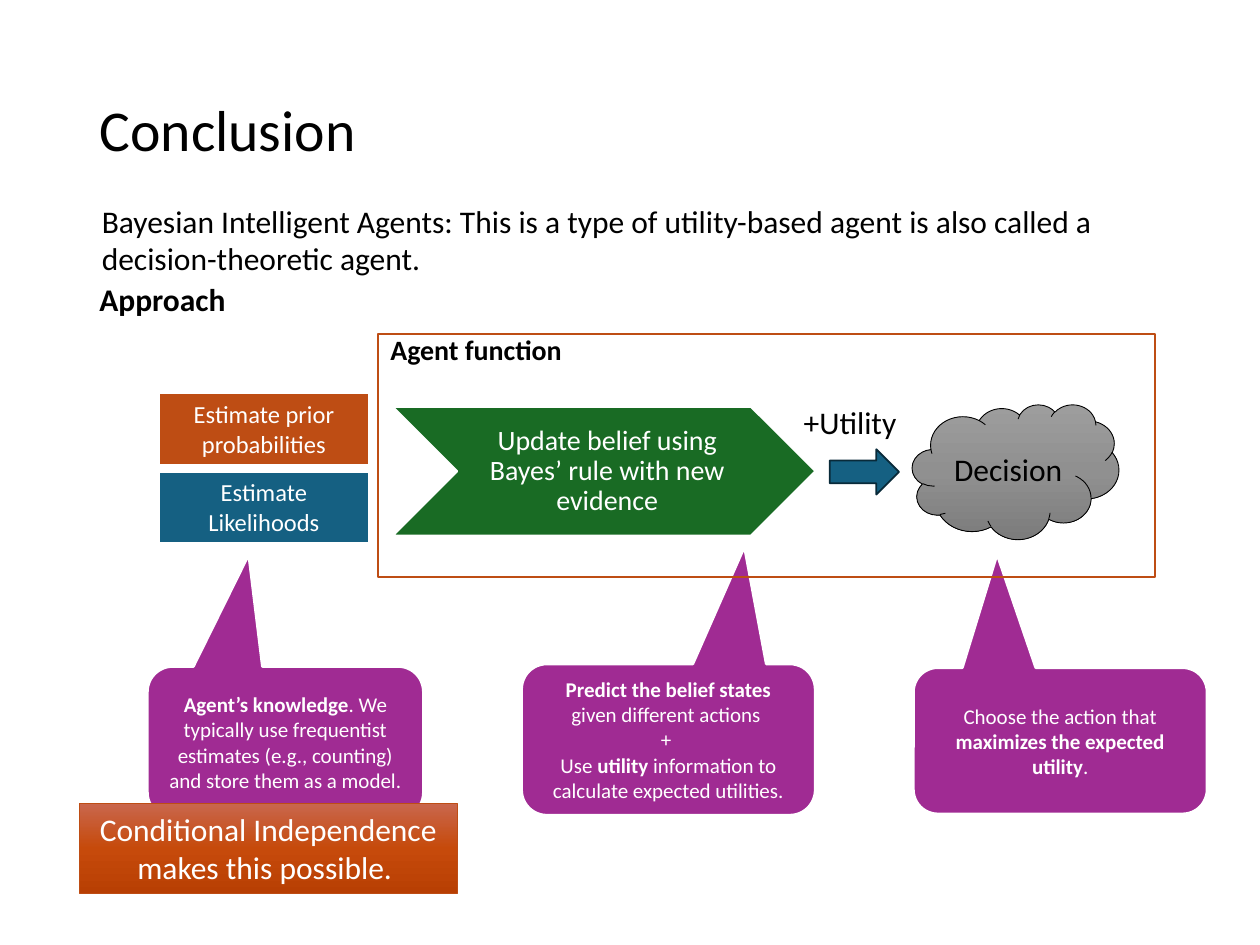
from copy import deepcopy
from dataclasses import dataclass

from pptx import Presentation
from pptx.dml.color import RGBColor
from pptx.enum.shapes import MSO_SHAPE
from pptx.enum.text import MSO_ANCHOR, MSO_AUTO_SIZE, PP_ALIGN
from pptx.oxml.ns import qn
from pptx.util import Inches, Pt


@dataclass(frozen=True)
class Theme:
    font: str = "Calibri"
    black: str = "000000"
    white: str = "FFFFFF"
    orange: str = "BE4D14"
    blue: str = "156082"
    navy: str = "092A39"
    green: str = "196B24"
    purple: str = "A02B93"
    greys: tuple = ("9D9D9D", "909090", "7C7C7C")
    flames: tuple = ("C9664C", "C64A0B", "B83F03")
    title: int = 33
    body: int = 18
    label: int = 16
    box: int = 14
    note: int = 12


class SlideBuilder:
    """Places elements on a grid of 100 columns by 75 rows."""

    def __init__(self, prs, theme):
        self.theme = theme
        self.s = prs.slides.add_slide(prs.slide_layouts[5])
        self.col = prs.slide_width / 100
        self.row = prs.slide_height / 75

    def grid(self, x, y, w, h):
        return [int(v) for v in (x * self.col, y * self.row, w * self.col, h * self.row)]

    def put_text(self, sp, parts, size, color, align=PP_ALIGN.LEFT, spacing=None, **frame):
        """Fill one paragraph; parts are strings or (string, bold) pairs."""
        tf = sp.text_frame
        for name, value in {"word_wrap": True, **frame}.items():
            setattr(tf, name, value)
        p = tf.paragraphs[0]
        p.alignment, p.line_spacing = align, spacing
        for part in [parts] if isinstance(parts, str) else parts:
            text, bold = (part, False) if isinstance(part, str) else part
            for i, line in enumerate(text.split("\n")):
                if i:
                    p.add_line_break()
                r = p.add_run()
                r.text = line
                style = {"name": self.theme.font, "size": Pt(size), "bold": bold}
                for name, value in style.items():
                    setattr(r.font, name, value)
                r.font.color.rgb = RGBColor.from_string(color)

    def title(self, text, at):
        sp = self.s.shapes.title
        sp.left, sp.top, sp.width, sp.height = self.grid(*at)
        self.put_text(sp, text, self.theme.title, self.theme.black, spacing=0.9,
                      vertical_anchor=MSO_ANCHOR.MIDDLE)

    def text(self, parts, at, size, color=None, **fmt):
        sp = self.s.shapes.add_textbox(*self.grid(*at))
        fmt = {"auto_size": MSO_AUTO_SIZE.SHAPE_TO_FIT_TEXT, **fmt}
        self.put_text(sp, parts, size, color or self.theme.black, **fmt)

    def shape(self, kind, at, fill, line, width, adjustments=()):
        sp = self.s.shapes.add_shape(kind, *self.grid(*at))
        sp.shadow.inherit = False
        for i, value in enumerate(adjustments):
            sp.adjustments[i] = value
        if fill is None:
            sp.fill.background()
        elif isinstance(fill, tuple):
            self.gradient(sp, fill)
        else:
            sp.fill.solid()
            sp.fill.fore_color.rgb = RGBColor.from_string(fill)
        sp.line.color.rgb = RGBColor.from_string(line)
        sp.line.width = Pt(width)
        return sp

    def gradient(self, sp, colors):
        """Vertical gradient with three evenly spaced stops."""
        fill = sp.fill
        fill.gradient()
        fill.gradient_angle = 270
        stops = next(sp.element.iter(qn("a:gsLst")))
        stops.append(deepcopy(stops[0]))
        for i, (stop, color) in enumerate(zip(fill.gradient_stops, colors)):
            stop.position = i / 2
            stop.color.rgb = RGBColor.from_string(color)

    def box(self, text, at, fill, line, width, size):
        sp = self.shape(MSO_SHAPE.RECTANGLE, at, fill, line, width)
        self.put_text(sp, text, size, self.theme.white, PP_ALIGN.CENTER,
                      vertical_anchor=MSO_ANCHOR.TOP,
                      auto_size=MSO_AUTO_SIZE.SHAPE_TO_FIT_TEXT)

    def callout(self, parts, at, tip):
        t = self.theme
        sp = self.shape(MSO_SHAPE.ROUNDED_RECTANGULAR_CALLOUT, at, t.purple,
                        t.white, 1.5, (*tip, 0.167))
        self.put_text(sp, parts, t.note, t.white, PP_ALIGN.CENTER,
                      vertical_anchor=MSO_ANCHOR.MIDDLE)


def main():
    prs = Presentation()
    prs.slide_width, prs.slide_height = Inches(10), Inches(7.5)
    t = Theme()
    b = SlideBuilder(prs, t)

    b.title("Conclusion", (6.9, 3.3, 86.2, 14.5))

    # Estimates that feed the agent
    estimates = [("Estimate prior probabilities", t.orange), ("Estimate Likelihoods", t.blue)]
    for i, (text, fill) in enumerate(estimates):
        b.box(text, (12.6, 31.2 + 6.2 * i, 16.7, 5.7), fill, t.white, 1.5, t.box)

    # Belief update
    b.shape(MSO_SHAPE.CHEVRON, (31.2, 32.3, 33.5, 10.2), t.green, t.white, 1)
    inset = Inches(0.02)
    b.text("Update belief using Bayes’ rule with new evidence", (36.3, 32.3, 23.3, 10.2),
           t.label, t.white, align=PP_ALIGN.CENTER, spacing=0.9,
           auto_size=MSO_AUTO_SIZE.NONE, vertical_anchor=MSO_ANCHOR.MIDDLE,
           margin_left=Inches(0.07), margin_top=inset, margin_right=inset,
           margin_bottom=inset)

    # Utility and decision
    cloud = b.shape(MSO_SHAPE.CLOUD, (72.4, 32.1, 16.4, 10.7), t.greys, t.black, 0.5)
    b.put_text(cloud, "Decision", t.body, t.black, PP_ALIGN.CENTER,
               vertical_anchor=MSO_ANCHOR.MIDDLE)
    arrow = b.shape(MSO_SHAPE.DOWN_ARROW, (66.8, 34.7, 3.6, 5.5), t.blue, t.navy, 1)
    arrow.rotation = 270
    b.text("+Utility", (62.8, 31.5, 9.8, 4), t.body)
    b.text([("Approach", True)], (6.9, 21.7, 50, 4), t.body)

    # Explanations: text, place, pointer tip
    callouts = [
        ([("Agent’s knowledge", True),
          ". We typically use frequentist estimates (e.g., counting) "
          "and store them as a model."],
         (11.7, 52.9, 21.9, 12), (-0.133, -1.239)),
        ([("Predict the belief states ", True), "given different actions \n+ \nUse ",
          ("utility", True), " information to calculate expected utilities."],
         (41.4, 52.7, 23.3, 12), (0.259, -1.274)),
        (["Choose the action that ", ("maximizes the expected utility", True), "."],
         (72.5, 53, 23.3, 11.6), (-0.215, -1.274)),
    ]
    for parts, at, tip in callouts:
        b.callout(parts, at, tip)

    # Agent function frame
    b.shape(MSO_SHAPE.RECTANGLE, (30, 26.5, 61.7, 19.3), None, t.orange, 1)
    b.text([("Agent function", True)], (30, 25.9, 15.8, 3.7), t.label, word_wrap=False)

    # Introduction and closing remark
    b.text("Bayesian Intelligent Agents: This is a type of utility-based agent is also "
           "called a decision-theoretic agent.", (7.1, 15.5, 81.7, 7.1), t.body)
    b.box("Conditional Independence makes this possible. ", (6.3, 63.8, 30, 7.1),
          t.flames, t.orange, 0.5, t.body)

    prs.save("out.pptx")


if __name__ == "__main__":
    main()
